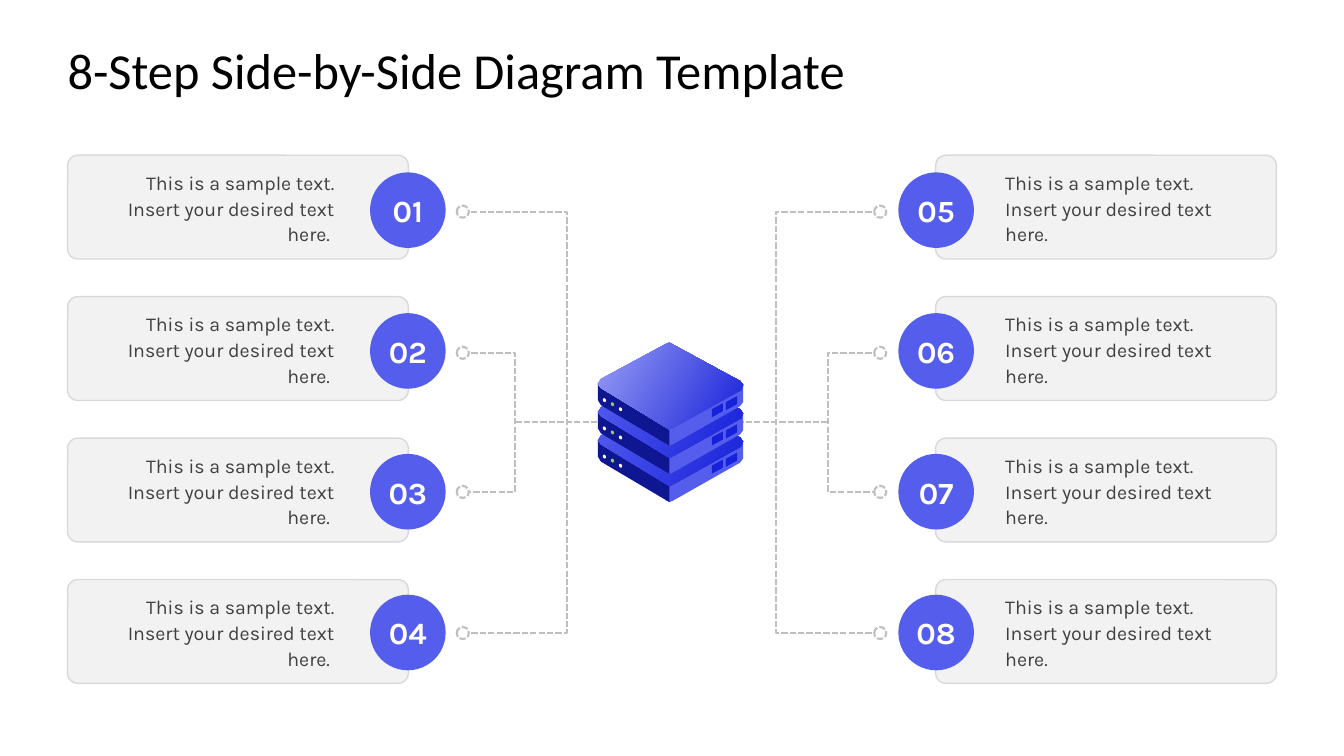
import pptx
import pptx.util
import pptx.dml.color
import pptx.enum.dml
import pptx.enum.shapes
import pptx.enum.text
import pptx.oxml.ns
from lxml import etree

Inches = pptx.util.Inches
Pt = pptx.util.Pt
SHAPE = pptx.enum.shapes.MSO_SHAPE
ALIGN = pptx.enum.text.PP_ALIGN
MIDDLE = pptx.enum.text.MSO_ANCHOR.MIDDLE
DASH = pptx.enum.dml.MSO_LINE.SQUARE_DOT

COLORS = {
    "title": "000000", "text": "404040", "white": "FFFFFF",
    "card": "F2F2F2", "border": "D9D9D9", "wire": "BFBFBF",
    "blue": "555DED", "pale": "999EF4", "deep": "1721DA",
    "navy": "0F1692", "green": "92D050",
}
FONTS = {
    "title": {"name": "Calibri", "size": Pt(36), "bold": False},
    "card": {"name": "Karla", "size": Pt(14), "bold": False},
    "badge": {"name": "Karla", "size": Pt(22), "bold": True},
}
SAMPLE = "This is a sample text. Insert your desired text here."
ROWS = 4

# Outlines of one server unit, in inches from its top left corner
LID = [(0.03, 0.36), (0.68, 0.01), (0.71, 0), (0.73, 0.01), (1.41, 0.38),
       (1.44, 0.42), (1.42, 0.47), (0.74, 0.85), (0.71, 0.86), (0.69, 0.85),
       (0.03, 0.45), (0, 0.41)]
RIGHT_SIDE = [(0.74, 1.01), (1.41, 0.63), (1.44, 0.59), (1.44, 0.43),
              (1.3, 0.48), (1.28, 0.47), (0.67, 0.78), (0.67, 1), (0.71, 1.02)]
LEFT_SIDE = [(0.25, 0.4), (0.04, 0.38), (0, 0.4), (0, 0.57), (0.03, 0.62),
             (0.69, 1.01), (0.71, 1.02), (0.71, 0.8)]
PORT = [(0.11, 0.08), (0, 0.14), (0, 0.06), (0.11, 0)]
PORTS = [(1.13, 0.6), (1.27, 0.53)]
LEDS = [(0.05, 0.55, "white"), (0.13, 0.59, "green"), (0.21, 0.64, "white")]


def rgb(name):
    return pptx.dml.color.RGBColor.from_string(COLORS[name])


def paint(sp, fill=None, line=None, width=1, dash=None):
    sp.shadow.inherit = False
    if fill:
        sp.fill.solid()
        sp.fill.fore_color.rgb = rgb(fill)
    else:
        sp.fill.background()
    if line:
        stroke(sp, line, width, dash)
    else:
        sp.line.fill.background()


def stroke(sp, color, width, dash):
    sp.line.color.rgb = rgb(color)
    sp.line.width = Pt(width)
    if dash:
        sp.line.dash_style = dash


def write(sp, text, style, color, align, margins=(0, 0, 0, 0), spacing=1.0):
    tf = sp.text_frame
    sides = ("margin_left", "margin_top", "margin_right", "margin_bottom")
    frame = dict(zip(sides, map(Inches, margins)))
    frame.update(word_wrap=True, vertical_anchor=MIDDLE)
    for key, value in frame.items():
        setattr(tf, key, value)
    p = tf.paragraphs[0]
    p.alignment = align
    p.line_spacing = spacing
    r = p.add_run()
    r.text = text
    for key, value in FONTS[style].items():
        setattr(r.font, key, value)
    r.font.color.rgb = rgb(color)


def add_preset(shapes, kind, x, y, w, h):
    return shapes.add_shape(kind, Inches(x), Inches(y), Inches(w), Inches(h))


def add_outline(shapes, x, y, points, close=True):
    pts = [(Inches(x + dx), Inches(y + dy)) for dx, dy in points]
    fb = shapes.build_freeform(*pts[0])
    fb.add_line_segments(pts[1:], close=close)
    return fb.convert_to_shape()


def add_title(s, x, y, w, h):
    sp = s.shapes.title
    sp.left, sp.top, sp.width, sp.height = map(Inches, (x, y, w, h))
    write(sp, "8-Step Side-by-Side Diagram Template", "title", "title",
          ALIGN.LEFT, (0, 0.07, 0, 0.07))


def add_cards(s, x, y, h, text, align, margins):
    """Column of text cards whose tops span h."""
    shapes = s.shapes.add_group_shape().shapes
    for i in range(ROWS):
        sp = add_preset(shapes, SHAPE.ROUNDED_RECTANGLE,
                        x, y + i * h / (ROWS - 1), 3.38, 1.03)
        sp.adjustments[0] = 0.1
        paint(sp, "card", "border")
        write(sp, text, "card", "text", align, margins, 1.1)


def add_wires(s, x, y, side):
    """Brackets from nodes at x to the centre line y; side is 1 or -1."""
    shapes = s.shapes.add_group_shape().shapes
    c = shapes.add_connector(pptx.enum.shapes.MSO_CONNECTOR.STRAIGHT,
                             Inches(x + side * 0.52), Inches(y),
                             Inches(x + side * 2.39), Inches(y))
    stroke(c, "wire", 1.5, DASH)
    etree.SubElement(c._element.spPr, pptx.oxml.ns.qn("a:effectLst"))
    for reach, half in ((0.52, 0.69), (1.03, 2.09)):
        sp = add_outline(shapes, x, y, [(0, -half), (side * reach, -half),
                                        (side * reach, half), (0, half)], False)
        paint(sp, None, "wire", 1.5, DASH)
        for dy in (-half, half):
            sp = add_preset(shapes, SHAPE.OVAL, x - 0.06, y + dy - 0.06,
                            0.12, 0.12)
            paint(sp, "white", "wire", 1.5, DASH)


def add_badges(s, x, y, h, first):
    """Column of numbered circles whose tops span h."""
    shapes = s.shapes.add_group_shape().shapes
    for i in range(ROWS):
        sp = add_preset(shapes, SHAPE.OVAL, x, y + i * h / (ROWS - 1), 0.75, 0.75)
        paint(sp, "blue")
        write(sp, f"{first + i:02d}", "badge", "white", ALIGN.CENTER)


def add_server_unit(shapes, x, y, light):
    # Sides and lid
    paint(add_outline(shapes, x, y, RIGHT_SIDE), "blue")
    paint(add_outline(shapes, x, y, LEFT_SIDE), "navy")
    lid = add_outline(shapes, x, y, LID)
    paint(lid, light)
    lid.fill.gradient()
    lid.fill.gradient_angle = 330
    for stop, color in zip(lid.fill.gradient_stops, (light, "deep")):
        stop.color.rgb = rgb(color)
    # Ports and lights
    for dx, dy in PORTS:
        paint(add_outline(shapes, x + dx, y + dy, PORT), "deep")
    for dx, dy, color in LEDS:
        led = add_preset(shapes, SHAPE.OVAL, x + dx, y + dy, 0.03, 0.04)
        led.rotation = 334.4
        paint(led, color)


def add_server(s, x, y):
    """Stack of three units, drawn from the bottom up."""
    shapes = s.shapes.add_group_shape().shapes
    for level, light in ((2, "blue"), (1, "blue"), (0, "pale")):
        add_server_unit(shapes, x, y + level * 0.28, light)


def main():
    prs = pptx.Presentation()
    prs.slide_width, prs.slide_height = Inches(13.33), Inches(7.5)
    s = prs.slides.add_slide(prs.slide_layouts[5])
    add_title(s, 0.67, 0.3, 12, 0.78)
    # Cards; the right-aligned sentence ends in a space
    add_cards(s, 9.28, 1.54, 4.21, SAMPLE, ALIGN.LEFT, (0.66, 0, 0.41, 0))
    add_cards(s, 0.67, 1.54, 4.21, SAMPLE + " ", ALIGN.RIGHT, (0.37, 0, 0.7, 0))
    # Wires, numbers and the server in the middle
    add_wires(s, 4.59, 4.19, 1)
    add_wires(s, 8.73, 4.19, -1)
    add_badges(s, 3.67, 1.71, 4.19, 1)
    add_badges(s, 8.91, 1.71, 4.19, 5)
    add_server(s, 5.93, 3.4)
    prs.save("out.pptx")


if __name__ == "__main__":
    main()
